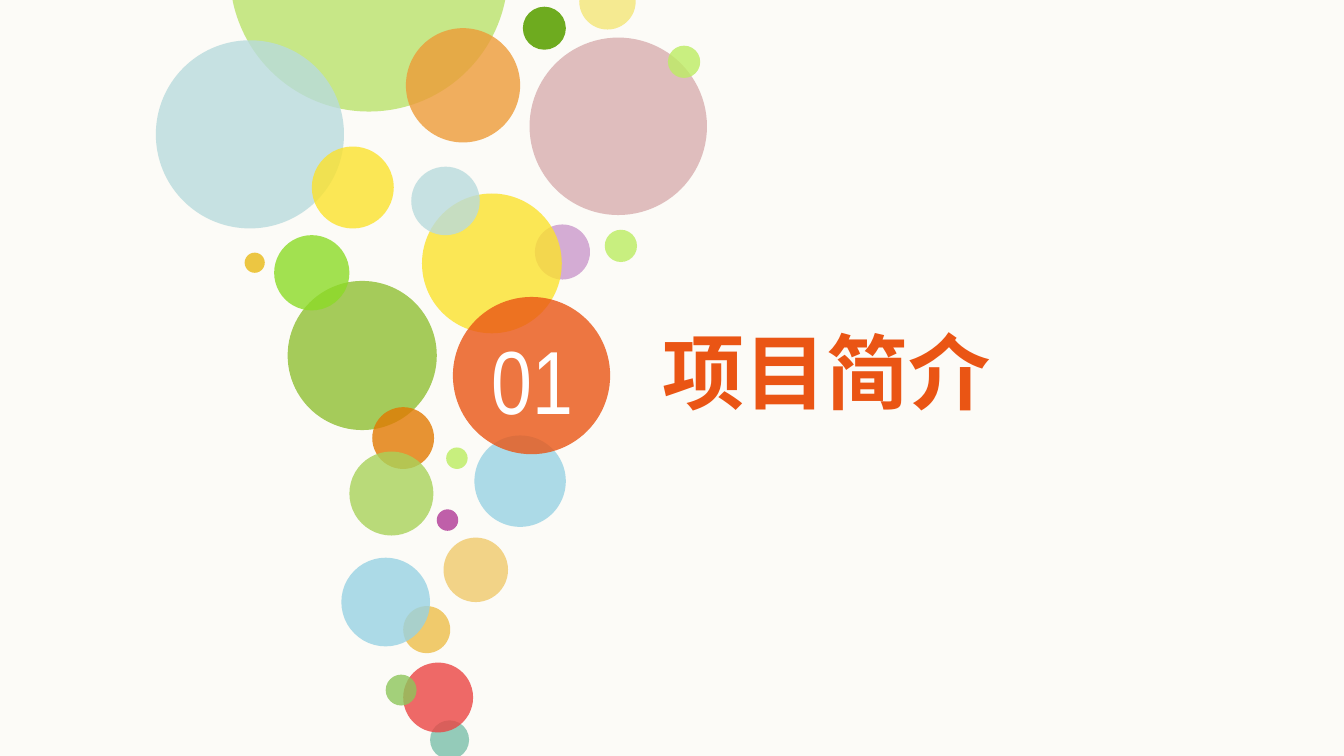
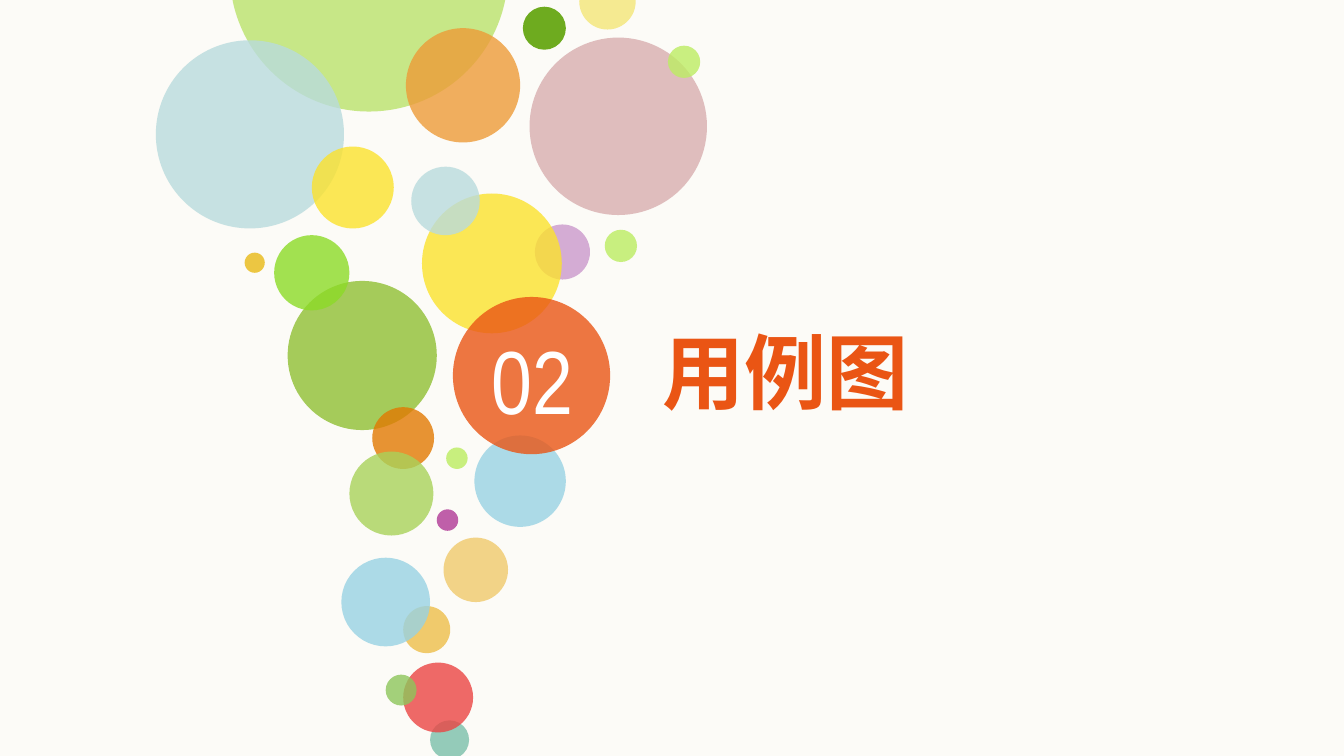
from dataclasses import dataclass
from typing import NamedTuple

from lxml import etree
from pptx import Presentation
from pptx.dml.color import RGBColor
from pptx.enum import shapes, text
from pptx.oxml.ns import qn
from pptx.util import Inches, Pt

# Grid: square cells, 100 columns across the slide
WIDE, HIGH = Inches(10), Inches(5.625)
CELL = WIDE / 100


# Theme: colours, fonts and type sizes
@dataclass(frozen=True)
class Theme:
    paper: str = "FCFBF7"
    white: str = "FFFFFF"
    accent: str = "EA5514"
    latin: str = "Arial Narrow"
    cjk: str = "Noto Sans CJK SC"
    number: int = 48
    title: int = 44
    alpha: int = 80


THEME = Theme()


class Bubble(NamedTuple):
    col: float
    row: float
    size: float
    color: str
    alpha: int = THEME.alpha


class Part(NamedTuple):
    number: str
    title: str
    cols: float


class Style(NamedTuple):
    font: str
    size: int
    color: str
    bold: bool
    align: text.PP_ALIGN


NUMBER = Style(THEME.latin, THEME.number, THEME.white, False, text.PP_ALIGN.CENTER)
TITLE = Style(THEME.cjk, THEME.title, THEME.accent, True, text.PP_ALIGN.LEFT)

# Bubbles from back to front; the last one holds the number
BUBBLES = [
    Bubble(17.1, -12.4, 20.7, "BAE36B"),
    Bubble(38.9, 0.5, 3.2, "6EAB1F", 100),
    Bubble(11.6, 3, 14, "B9DBDD"),
    Bubble(30.2, 2.1, 8.5, "ED9B38"),
    Bubble(43.1, -2, 4.2, "F5EA91", 100),
    Bubble(39.4, 2.8, 13.2, "D8AEAF"),
    Bubble(21.4, 20.9, 11.1, "A5CB5A", 100),
    Bubble(49.7, 3.4, 2.4, "BDED63"),
    Bubble(45, 17.1, 2.4, "BCED61"),
    Bubble(39.8, 16.7, 4.1, "CB99CC"),
    Bubble(31.4, 14.4, 10.4, "FBE22D"),
    Bubble(23.2, 10.9, 6.1, "FBE22D"),
    Bubble(20.4, 17.5, 5.6, "8CDB27"),
    Bubble(18.2, 18.8, 1.5, "E9B915"),
    Bubble(33.2, 33.3, 1.6, "BCED60"),
    Bubble(32.5, 37.9, 1.6, "B03896"),
    Bubble(33, 40, 4.8, "F0CA6C"),
    Bubble(30, 45.1, 3.5, "F0CA6C", 100),
    Bubble(32, 53.6, 2.9, "7BBFAA"),
    Bubble(30, 49.3, 5.2, "EB4544"),
    Bubble(28.7, 50.2, 2.3, "8DC65B"),
    Bubble(25.4, 41.5, 6.6, "98D2E3"),
    Bubble(30.6, 12.4, 5.1, "B9DBDD"),
    Bubble(35.3, 32.4, 6.8, "98D2E3"),
    Bubble(27.7, 30.3, 4.6, "E27902"),
    Bubble(26, 33.6, 6.25, "A9D25A"),
    Bubble(33.7, 22.1, 11.7, THEME.accent),
]

PARTS = [Part("01", "项目简介", 26.7), Part("02", "用例图", 22)]


def place(col: float, row: float, cols: float, rows: float) -> list[int]:
    return [round(n * CELL) for n in (col, row, cols, rows)]


def draw(slide, dot: Bubble) -> None:
    oval = slide.shapes.add_shape(
        shapes.MSO_SHAPE.OVAL, *place(dot.col, dot.row, dot.size, dot.size))
    oval.shadow.inherit = False
    oval.line.fill.background()
    oval.fill.solid()
    oval.fill.fore_color.rgb = RGBColor.from_string(dot.color)
    if dot.alpha < 100:
        tint = oval.element.spPr.find(qn("a:solidFill"))[0]
        etree.SubElement(tint, qn("a:alpha"), val=str(dot.alpha * 1000))


def write(box, words: str, style: Style) -> None:
    frame = box.text_frame
    form = {
        "margin_left": 0, "margin_top": 0, "margin_right": 0, "margin_bottom": 0,
        "word_wrap": True, "vertical_anchor": text.MSO_ANCHOR.TOP,
        "auto_size": text.MSO_AUTO_SIZE.SHAPE_TO_FIT_TEXT,
    }
    for key, value in form.items():
        setattr(frame, key, value)
    line = frame.paragraphs[0]
    line.alignment = style.align
    run = line.add_run()
    run.text = words
    face = {"size": Pt(style.size), "bold": style.bold, "name": style.font}
    for key, value in face.items():
        setattr(run.font, key, value)
    run.font.color.rgb = RGBColor.from_string(style.color)
    # East Asian glyphs need their own typeface entry
    etree.SubElement(run.font._element, qn("a:ea"), typeface=style.font)


def build(deck, part: Part) -> None:
    slide = deck.slides.add_slide(deck.slide_layouts.get_by_name("Title Only"))
    for dot in BUBBLES:
        draw(slide, dot)

    # Section number, then the title brought to the front
    label = slide.shapes.add_textbox(*place(35.6, 24.2, 8, 8.1))
    write(label, part.number, NUMBER)
    head = slide.shapes.title
    head.left, head.top, head.width, head.height = place(49.3, 23.9, part.cols, 7.4)
    write(head, part.title, TITLE)
    label.element.addnext(head.element)


def main() -> None:
    deck = Presentation()
    deck.slide_width, deck.slide_height = WIDE, HIGH
    fill = deck.slide_master.background.fill
    fill.solid()
    fill.fore_color.rgb = RGBColor.from_string(THEME.paper)
    for part in PARTS:
        build(deck, part)
    deck.save("out.pptx")


if __name__ == "__main__":
    main()
